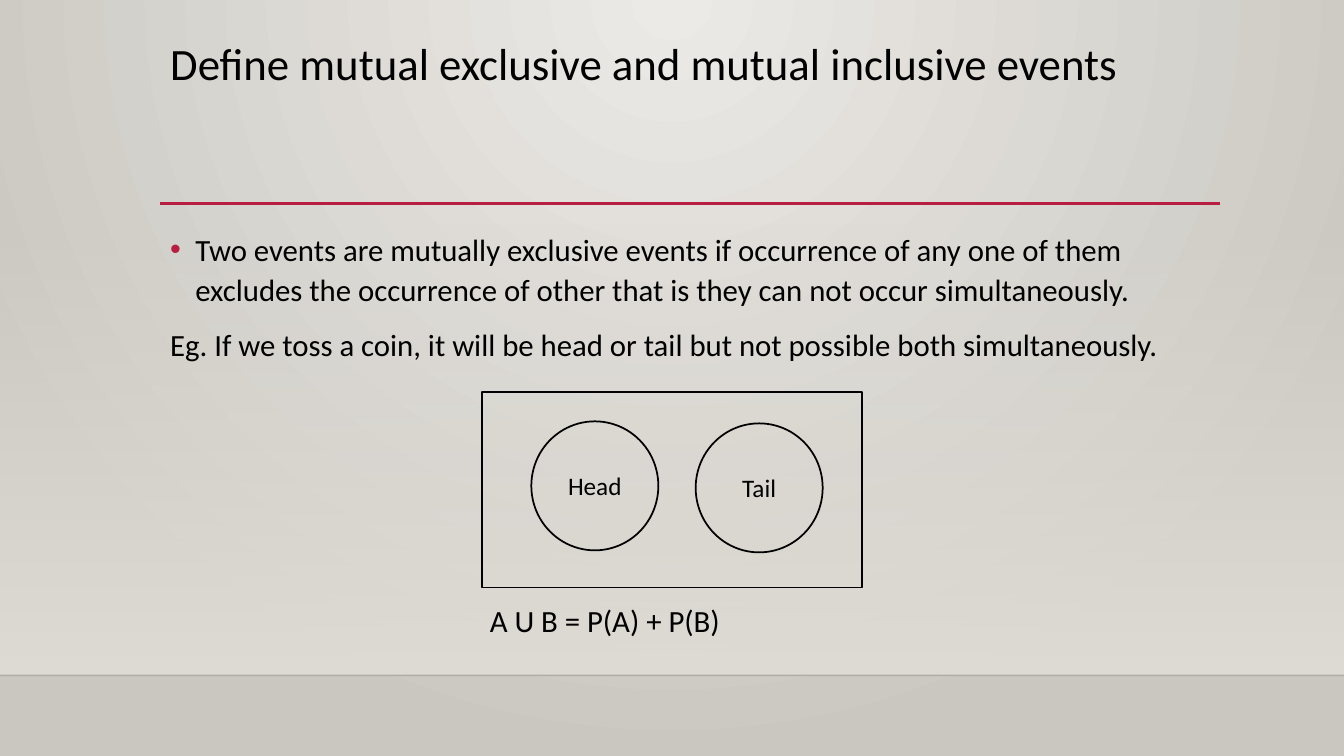
from pptx import Presentation
from pptx.util import Inches, Pt
from pptx.dml.color import RGBColor
from pptx.enum.shapes import MSO_SHAPE, MSO_CONNECTOR
from pptx.enum.text import PP_ALIGN, MSO_ANCHOR
from pptx.oxml import parse_xml
from pptx.oxml.ns import qn, nsdecls
from lxml.etree import SubElement

BLACK = RGBColor(0, 0, 0)
RED = RGBColor(0xB7, 0x1E, 0x42)
LIGHT = RGBColor(0xEC, 0xEA, 0xE7)
DARK = RGBColor(0xCA, 0xC7, 0xC1)
SAND = RGBColor(0xDF, 0xDB, 0xD5)

deck = Presentation()
deck.slide_width, deck.slide_height = Inches(13.33), Inches(7.5)
slide = deck.slides.add_slide(deck.slide_layouts[6])
shapes = slide.shapes


def add_text(left, top, width, height, lines, size, space, before=0):
    box = shapes.add_textbox(Inches(left), Inches(top), Inches(width), Inches(height))
    frame = box.text_frame
    frame.word_wrap = True
    frame.text = "\n".join(lines)
    for para in frame.paragraphs:
        para.line_spacing = space
        para.space_before = Pt(before)
        font = para.runs[0].font
        font.name, font.size, font.color.rgb = "Calibri", Pt(size), BLACK
    return frame


def add_outline(kind, left, top, width, height):
    shape = shapes.add_shape(kind, Inches(left), Inches(top), Inches(width), Inches(height))
    shape.shadow.inherit = False
    shape.fill.background()
    shape.line.color.rgb, shape.line.width = BLACK, Pt(1.25)
    return shape


# Background: radial gradient from the top centre
fill = slide.background.fill
fill.gradient()
for stop, color, place in zip(fill.gradient_stops, (LIGHT, DARK), (0, 1)):
    stop.color.rgb, stop.position = color, place
lin = slide.element.find(".//" + qn("a:lin"))
lin.getparent().replace(lin, parse_xml(
    f'<a:path {nsdecls("a")} path="circle">'
    '<a:fillToRect l="43000" t="0" r="43000" b="100000"/></a:path>'))

# Wall: fades in from clear to sand
wall = add_outline(MSO_SHAPE.RECTANGLE, 0, 2.21, 13.33, 4.49)
wall.line.fill.background()
wall.fill.gradient()
wall.fill.gradient_angle = 270
for stop, place in zip(wall.fill.gradient_stops, (0, 1)):
    stop.color.rgb, stop.position = SAND, place
clear = wall.element.find(".//" + qn("a:srgbClr"))
SubElement(clear, qn("a:alpha"), val="0")

# Floor edge and title rule
for left, right, y, color, width, alpha in (
        (0, 13.33, 6.7, BLACK, 1, 20), (1.59, 12.1, 2.02, RED, 2.5, 100)):
    rule = shapes.add_connector(MSO_CONNECTOR.STRAIGHT, Inches(left), Inches(y),
                                Inches(right), Inches(y))
    rule.line.color.rgb, rule.line.width = color, Pt(width)
    tint = rule.element.find(".//" + qn("a:srgbClr"))
    SubElement(tint, qn("a:alpha"), val=str(alpha * 1000))
    SubElement(rule.element.spPr, qn("a:effectLst"))

# Title, definition and formula
add_text(1.59, 0.37, 10.5, 0.69,
         ["Define mutual exclusive and mutual inclusive events"], 32, 0.9)
body = add_text(1.59, 2.2, 10.5, 1.6, [
    "Two events are mutually exclusive events if occurrence of any one of them "
    "excludes the occurrence of other that is they can not occur simultaneously.",
    "Eg. If we toss a coin, it will be head or tail but not possible both simultaneously.",
], 22, 1.1, 10)
add_text(4.76, 5.88, 4, 0.5, ["A U B = P(A) + P(B)"], 22, 1.1)

# Bullet on the definition
props = body.paragraphs[0].runs[0].font._element.getparent().getparent().get_or_add_pPr()
props.set("marL", str(Inches(0.25)))
props.set("indent", str(-Inches(0.25)))
SubElement(SubElement(props, qn("a:buClr")), qn("a:srgbClr"), val=str(RED))
SubElement(props, qn("a:buFont"), typeface="Arial")
SubElement(props, qn("a:buChar"), char="•")

# Venn diagram: two separate events in one sample space
for name, left, top in (("Head", 5.27, 4.18), ("Tail", 6.9, 4.2)):
    event = add_outline(MSO_SHAPE.OVAL, left, top, 1.26, 1.28)
    frame = event.text_frame
    frame.text = name
    frame.vertical_anchor = MSO_ANCHOR.MIDDLE
    para = frame.paragraphs[0]
    para.alignment = PP_ALIGN.CENTER
    font = para.runs[0].font
    font.name, font.size, font.color.rgb = "Calibri", Pt(18), BLACK
add_outline(MSO_SHAPE.RECTANGLE, 4.78, 3.89, 3.77, 1.94)

deck.save("out.pptx")
